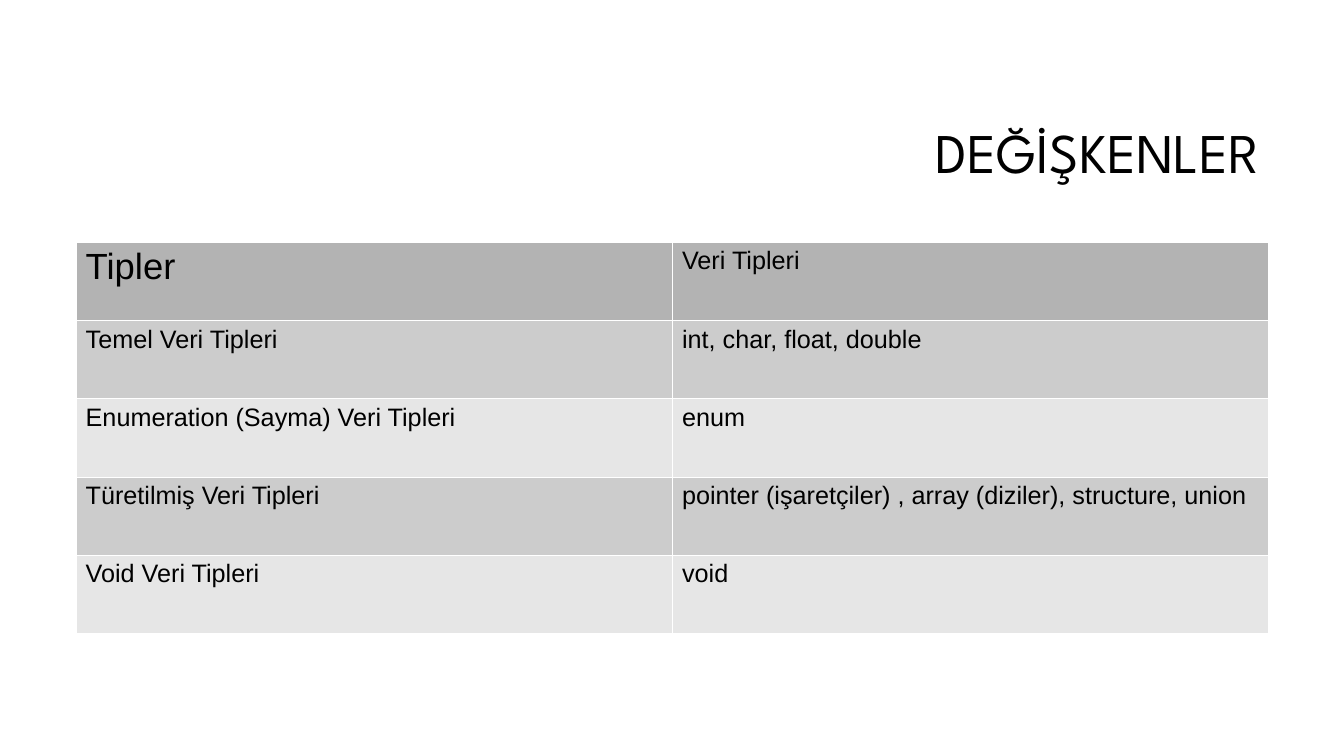
from dataclasses import dataclass

from lxml import etree
from pptx import Presentation
from pptx import util as u
from pptx.dml.color import RGBColor
from pptx.enum import text
from pptx.oxml import ns


@dataclass(frozen=True)
class Theme:
    ink: str = "000000"
    rule: str = "FFFFFF"
    head: str = "B3B3B3"
    bands: tuple = ("CCCCCC", "E6E6E6")
    title: str = "League Spartan"
    body: str = "Arial"
    big: int = 40
    mid: int = 26
    small: int = 18
    line: float = 0.06


ROWS = [
    ("Tipler", "Veri Tipleri"),
    ("Temel Veri Tipleri", "int, char, float, double"),
    ("Enumeration (Sayma) Veri Tipleri", "enum"),
    ("Türetilmiş Veri Tipleri",
     "pointer (işaretçiler) , array (diziler), structure, union"),
    ("Void Veri Tipleri", "void"),
]


def write(frame, words, *, size, font, color, align=text.PP_ALIGN.LEFT,
          space=1.0):
    frame.word_wrap = True
    para = frame.paragraphs[0]
    para.alignment = align
    para.line_spacing = space
    run = para.add_run()
    run.text = words
    run.font.size = u.Pt(size)
    run.font.name = font
    run.font.color.rgb = RGBColor.from_string(color)


class Page:
    def __init__(self, slide, theme):
        self.slide = slide
        self.theme = theme

    def title(self, words, *box):
        frame = self.slide.shapes.add_textbox(*map(u.Inches, box)).text_frame
        frame.vertical_anchor = text.MSO_ANCHOR.MIDDLE
        write(frame, words, size=self.theme.big, font=self.theme.title,
              color=self.theme.ink, align=text.PP_ALIGN.RIGHT, space=0.9)

    def table(self, rows, *box):
        look = self.theme
        grid = self.slide.shapes.add_table(
            len(rows), len(rows[0]), *map(u.Inches, box)).table
        for r, row in enumerate(rows):
            fill = look.bands[(r - 1) % 2] if r else look.head
            for c, words in enumerate(row):
                cell = grid.cell(r, c)
                cell.fill.solid()
                cell.fill.fore_color.rgb = RGBColor.from_string(fill)
                self.border(cell)
                size = look.mid if r == c == 0 else look.small
                write(cell.text_frame, words, size=size, font=look.body,
                      color=look.ink)

    def border(self, cell):
        """Rule all four sides; the lines must come before the cell's fill."""
        props = cell._tc.get_or_add_tcPr()
        for i, side in enumerate("LRTB"):
            line = etree.Element(ns.qn(f"a:ln{side}"),
                                 w=str(u.Pt(self.theme.line)))
            fill = etree.SubElement(line, ns.qn("a:solidFill"))
            etree.SubElement(fill, ns.qn("a:srgbClr"), val=self.theme.rule)
            props.insert(i, line)


def main():
    deck = Presentation()
    deck.slide_width = u.Inches(13.33)
    deck.slide_height = u.Inches(7.5)
    page = Page(deck.slides.add_slide(deck.slide_layouts[6]), Theme())
    page.title("DEĞİŞKENLER", 3.17, 0.84, 9.42, 1.41)
    page.table(ROWS, 0.75, 2.4, 11.83, 3.88)
    deck.save("out.pptx")


if __name__ == "__main__":
    main()
